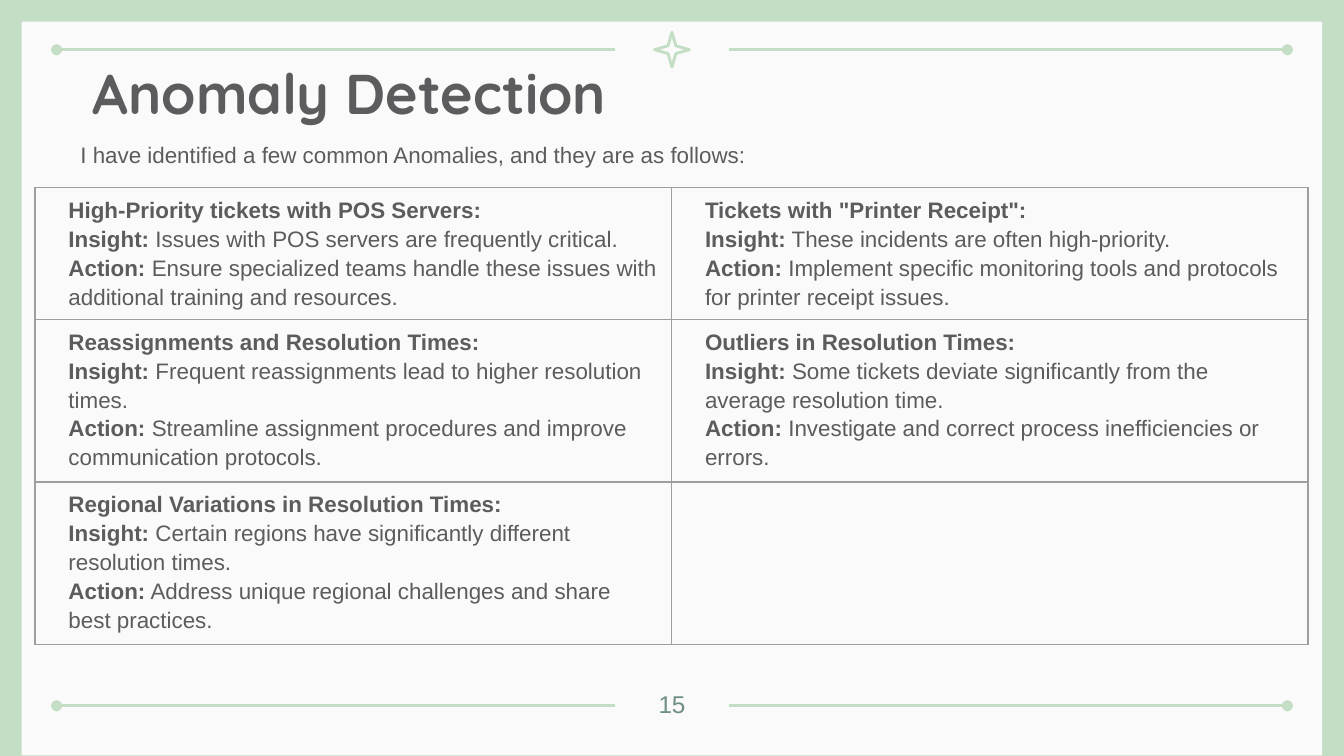
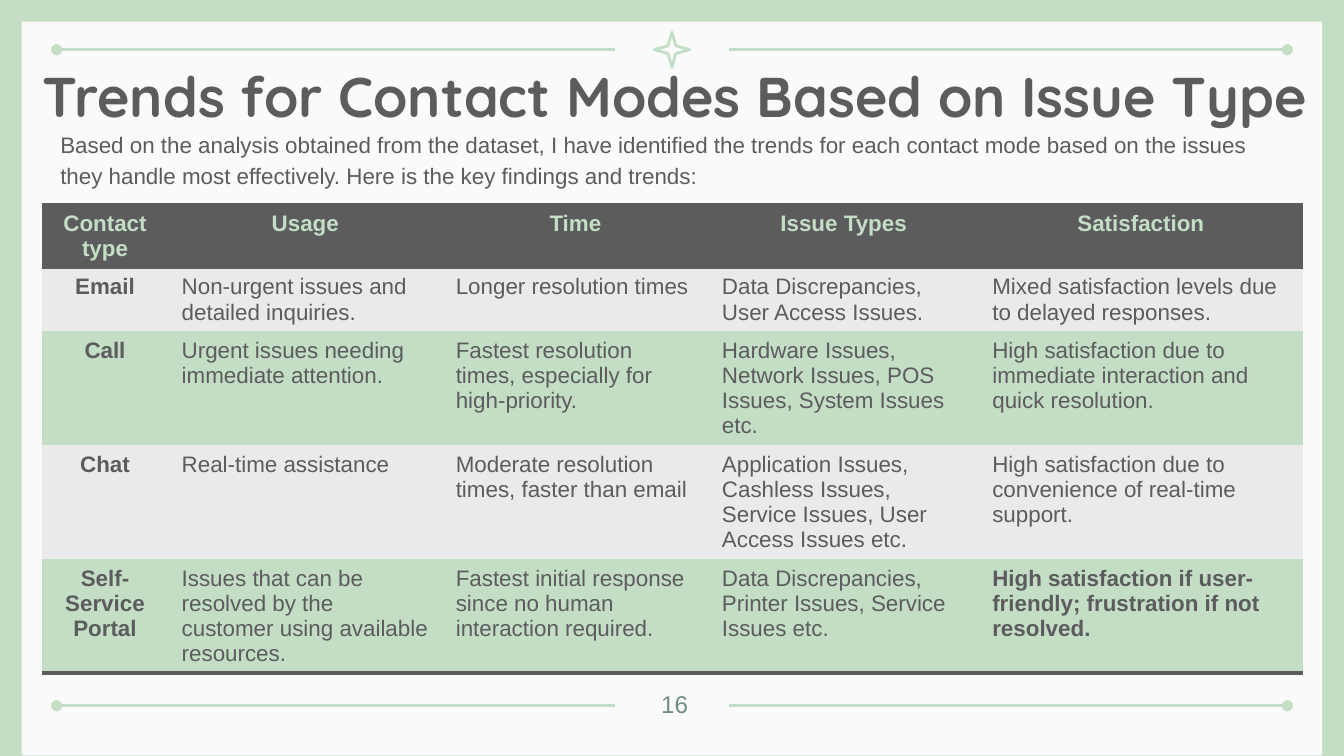
from dataclasses import dataclass

from pptx import Presentation
from pptx.dml.color import RGBColor
from pptx.enum.shapes import MSO_CONNECTOR, MSO_SHAPE
from pptx.enum.text import MSO_ANCHOR, MSO_AUTO_SIZE, PP_ALIGN
from pptx.oxml.ns import qn
from pptx.slide import Slide
from pptx.table import Table, _Cell as Cell
from pptx.text.text import TextFrame, _Paragraph as Paragraph, _Run as Run
from pptx.util import Cm, Length, Pt
from lxml.etree import SubElement

MINT = RGBColor(0xC4, 0xDD, 0xC5)
PAPER = RGBColor(0xFA, 0xFA, 0xFA)
INK = RGBColor(0x5C, 0x5C, 0x5F)
SAGE = RGBColor(0x6E, 0x8F, 0x81)
MIST = RGBColor(0xEA, 0xEA, 0xEA)
GRID_GREY = RGBColor(0x9E, 0x9E, 0x9E)

TITLE_FONT = "Quicksand"
BODY_FONT = "Arial"
BODY_SIZE = Pt(12)
INSET = Cm(0.25)
TEXT_INDENT = Cm(0.38)
LINE_SPACING = 1.15
PLAIN_TABLE_STYLE = "{2D5ABB26-0587-4C30-8999-92F81FD0307C}"
TITLE_ONLY = 5


@dataclass(frozen=True)
class Box:
    left: Length
    top: Length
    width: Length
    height: Length

    def bounds(self) -> tuple[Length, Length, Length, Length]:
        return self.left, self.top, self.width, self.height


@dataclass(frozen=True)
class Rule:
    start: Length
    end: Length
    dotted_end: str


@dataclass(frozen=True)
class Anomaly:
    heading: str
    insight: str
    action: str


@dataclass(frozen=True)
class Page:
    title: str
    title_box: Box
    title_align: PP_ALIGN
    intro: str
    intro_box: Box
    number: str
    number_left: Length


PANEL = Box(Cm(0.41), Cm(0.41), Cm(24.58), Cm(13.87))
STAR = Box(Cm(12.37), Cm(0.61), Cm(0.66), Cm(0.66))
RULES = (
    Rule(Cm(1.07), Cm(11.63), "a:headEnd"),
    Rule(Cm(13.77), Cm(24.33), "a:tailEnd"),
)
RULE_HEIGHTS = (Cm(0.94), Cm(13.34))

ANOMALY_PAGE = Page(
    "Anomaly Detection",
    Box(Cm(1.5), Cm(0.86), Cm(17.4), Cm(1.6)),
    PP_ALIGN.LEFT,
    "I have identified a few common Anomalies, and they are as follows:",
    Box(Cm(0.89), Cm(2.34), Cm(23.52), Cm(2.77)),
    "15",
    Cm(11.94),
)
TREND_PAGE = Page(
    "Trends for Contact Modes Based on Issue Type",
    Box(Cm(0.18), Cm(0.91), Cm(25.15), Cm(1.6)),
    PP_ALIGN.CENTER,
    "Based on the analysis obtained from the dataset, I have identified the trends "
    "for each contact mode based on the issues they handle most effectively. "
    "Here is the key findings and trends:",
    Box(Cm(0.51), Cm(2.16), Cm(24.18), Cm(2.13)),
    "16",
    Cm(11.99),
)

ANOMALIES = (
    Anomaly(
        "High-Priority tickets with POS Servers:",
        "Issues with POS servers are frequently critical.",
        "Ensure specialized teams handle these issues with additional training and resources.",
    ),
    Anomaly(
        'Tickets with "Printer Receipt":',
        "These incidents are often high-priority.",
        "Implement specific monitoring tools and protocols for printer receipt issues.",
    ),
    Anomaly(
        "Reassignments and Resolution Times:",
        "Frequent reassignments lead to higher resolution times.",
        "Streamline assignment procedures and improve communication protocols.",
    ),
    Anomaly(
        "Outliers in Resolution Times:",
        "Some tickets deviate significantly from the average resolution time.",
        "Investigate and correct process inefficiencies or errors.",
    ),
    Anomaly(
        "Regional Variations in Resolution Times:",
        "Certain regions have significantly different resolution times.",
        "Address unique regional challenges and share best practices.",
    ),
)
ANOMALY_COLUMNS = (Cm(12.03),) * 2
ANOMALY_ROWS = (Cm(2.49), Cm(3.07), Cm(3.07))

TRENDS = (
    ("Contact type", "Usage", "Time", "Issue Types", "Satisfaction"),
    (
        "Email",
        "Non-urgent issues and detailed inquiries.",
        "Longer resolution times",
        "Data Discrepancies, User Access Issues.",
        "Mixed satisfaction levels due to delayed responses.",
    ),
    (
        "Call",
        "Urgent issues needing immediate attention.",
        "Fastest resolution times, especially for high-priority.",
        "Hardware Issues, Network Issues, POS Issues, System Issues etc.",
        "High satisfaction due to immediate interaction and quick resolution.",
    ),
    (
        "Chat",
        "Real-time assistance",
        "Moderate resolution times, faster than email",
        "Application Issues, Cashless Issues, Service Issues, User Access Issues etc.",
        "High satisfaction due to convenience of real-time support.",
    ),
    (
        "Self-Service Portal",
        "Issues that can be resolved by the customer using available resources.",
        "Fastest initial response since no human interaction required.",
        "Data Discrepancies, Printer Issues, Service Issues etc.",
        "High satisfaction if user-friendly; frustration if not resolved.",
    ),
)
TREND_COLUMNS = (Cm(2.39), Cm(5.18), Cm(5.03), Cm(5.11), Cm(6.12))
TREND_ROWS = (Cm(1.04),) * len(TRENDS)


def style_run(run: Run, color: RGBColor = INK, bold: bool = False,
              size: Length = BODY_SIZE, font: str = BODY_FONT) -> None:
    run.font.name = font
    run.font.size = size
    run.font.bold = bold
    run.font.color.rgb = color


def indent(paragraph: Paragraph) -> None:
    paragraph.line_spacing = LINE_SPACING
    properties = paragraph._p.get_or_add_pPr()
    properties.set("marL", str(TEXT_INDENT))
    properties.set("indent", "0")


def prepare_frame(frame: TextFrame) -> None:
    frame.word_wrap = True
    frame.auto_size = MSO_AUTO_SIZE.NONE
    frame.vertical_anchor = MSO_ANCHOR.TOP
    frame.margin_left = frame.margin_right = INSET
    frame.margin_top = frame.margin_bottom = INSET


def add_text(slide: Slide, box: Box, text: str) -> Paragraph:
    frame = slide.shapes.add_textbox(*box.bounds()).text_frame
    prepare_frame(frame)
    frame.text = text
    return frame.paragraphs[0]


def add_rule(slide: Slide, rule: Rule, height: Length) -> None:
    connector = slide.shapes.add_connector(
        MSO_CONNECTOR.STRAIGHT, rule.start, height, rule.end, height)
    connector.line.color.rgb = MINT
    connector.line.width = Pt(1.5)
    properties = connector.element.spPr
    SubElement(properties.find(qn("a:ln")), qn(rule.dotted_end), type="oval")
    SubElement(properties, qn("a:effectLst"))


def add_frame(slide: Slide) -> None:
    slide.background.fill.solid()
    slide.background.fill.fore_color.rgb = MINT
    panel = slide.shapes.add_shape(MSO_SHAPE.RECTANGLE, *PANEL.bounds())
    panel.shadow.inherit = False
    panel.fill.solid()
    panel.fill.fore_color.rgb = PAPER
    panel.line.fill.background()
    star = slide.shapes.add_shape(MSO_SHAPE.STAR_4_POINT, *STAR.bounds())
    star.shadow.inherit = False
    star.adjustments[0] = 0.157
    star.fill.background()
    star.line.color.rgb = MINT
    star.line.width = Pt(1.5)
    for height in RULE_HEIGHTS:
        for rule in RULES:
            add_rule(slide, rule, height)


def add_page(deck: Presentation, page: Page) -> Slide:
    slide = deck.slides.add_slide(deck.slide_layouts[TITLE_ONLY])
    add_frame(slide)

    number = add_text(slide, Box(page.number_left, Cm(12.78), Cm(1.52), Cm(0.91)), page.number)
    number.alignment = PP_ALIGN.CENTER
    style_run(number.runs[0], SAGE, size=Pt(13))

    title = slide.shapes.title
    title.left, title.top, title.width, title.height = page.title_box.bounds()
    prepare_frame(title.text_frame)
    title.text_frame.text = page.title
    heading = title.text_frame.paragraphs[0]
    heading.alignment = page.title_align
    style_run(heading.runs[0], bold=True, size=Pt(30), font=TITLE_FONT)
    title.element.getparent().append(title.element)

    intro = add_text(slide, page.intro_box, page.intro)
    indent(intro)
    style_run(intro.runs[0])
    return slide


def add_plain_table(slide: Slide, left: Length, top: Length,
                    widths: tuple[Length, ...], heights: tuple[Length, ...]) -> Table:
    table = slide.shapes.add_table(
        len(heights), len(widths), left, top, sum(widths), sum(heights)).table
    table.first_row = table.horz_banding = False
    table._tbl.tblPr.find(qn("a:tableStyleId")).text = PLAIN_TABLE_STYLE
    for column, width in zip(table.columns, widths):
        column.width = width
    for row, height in zip(table.rows, heights):
        row.height = height
    return table


def set_borders(cell: Cell, sides: str, color: RGBColor, width: Length) -> None:
    properties = cell._tc.get_or_add_tcPr()
    for side in sides:
        line = SubElement(properties, qn(f"a:ln{side}"), w=str(width))
        SubElement(SubElement(line, qn("a:solidFill")), qn("a:srgbClr"), val=str(color))


def write_anomaly(cell: Cell, anomaly: Anomaly) -> None:
    frame = cell.text_frame
    frame.text = "\n".join((anomaly.heading, "Insight:", "Action:"))
    for paragraph, detail in zip(frame.paragraphs, ("", anomaly.insight, anomaly.action)):
        indent(paragraph)
        style_run(paragraph.runs[0], bold=True)
        if detail:
            run = paragraph.add_run()
            run.text = f" {detail}"
            style_run(run)


def add_anomaly_table(slide: Slide) -> None:
    table = add_plain_table(slide, Cm(0.66), Cm(3.55), ANOMALY_COLUMNS, ANOMALY_ROWS)
    cells = list(table.iter_cells())
    for cell in cells:
        set_borders(cell, "LRTB", GRID_GREY, Pt(0.75))
        cell.fill.background()
    for cell, anomaly in zip(cells, ANOMALIES):
        write_anomaly(cell, anomaly)


def add_trend_table(slide: Slide) -> None:
    table = add_plain_table(slide, Cm(0.79), Cm(3.86), TREND_COLUMNS, TREND_ROWS)
    last_row, last_column = len(TRENDS) - 1, len(TREND_COLUMNS) - 1
    for row, texts in enumerate(TRENDS):
        is_header = row == 0
        band = INK if is_header else MIST if row % 2 else MINT
        sides = "TB" if is_header else "B" if row == last_row else ""
        for column, text in enumerate(texts):
            cell = table.cell(row, column)
            set_borders(cell, sides, INK, Pt(2))
            cell.fill.solid()
            cell.fill.fore_color.rgb = band
            cell.text_frame.text = text
            paragraph = cell.text_frame.paragraphs[0]
            is_label = is_header or column == 0
            paragraph.alignment = PP_ALIGN.CENTER if is_label else PP_ALIGN.LEFT
            is_bold = is_label or (row, column) == (last_row, last_column)
            style_run(paragraph.runs[0], MINT if is_header else INK, is_bold)


def main() -> None:
    deck = Presentation()
    deck.slide_width, deck.slide_height = Cm(25.4), Cm(14.29)
    add_anomaly_table(add_page(deck, ANOMALY_PAGE))
    add_trend_table(add_page(deck, TREND_PAGE))
    deck.save("out.pptx")


if __name__ == "__main__":
    main()
